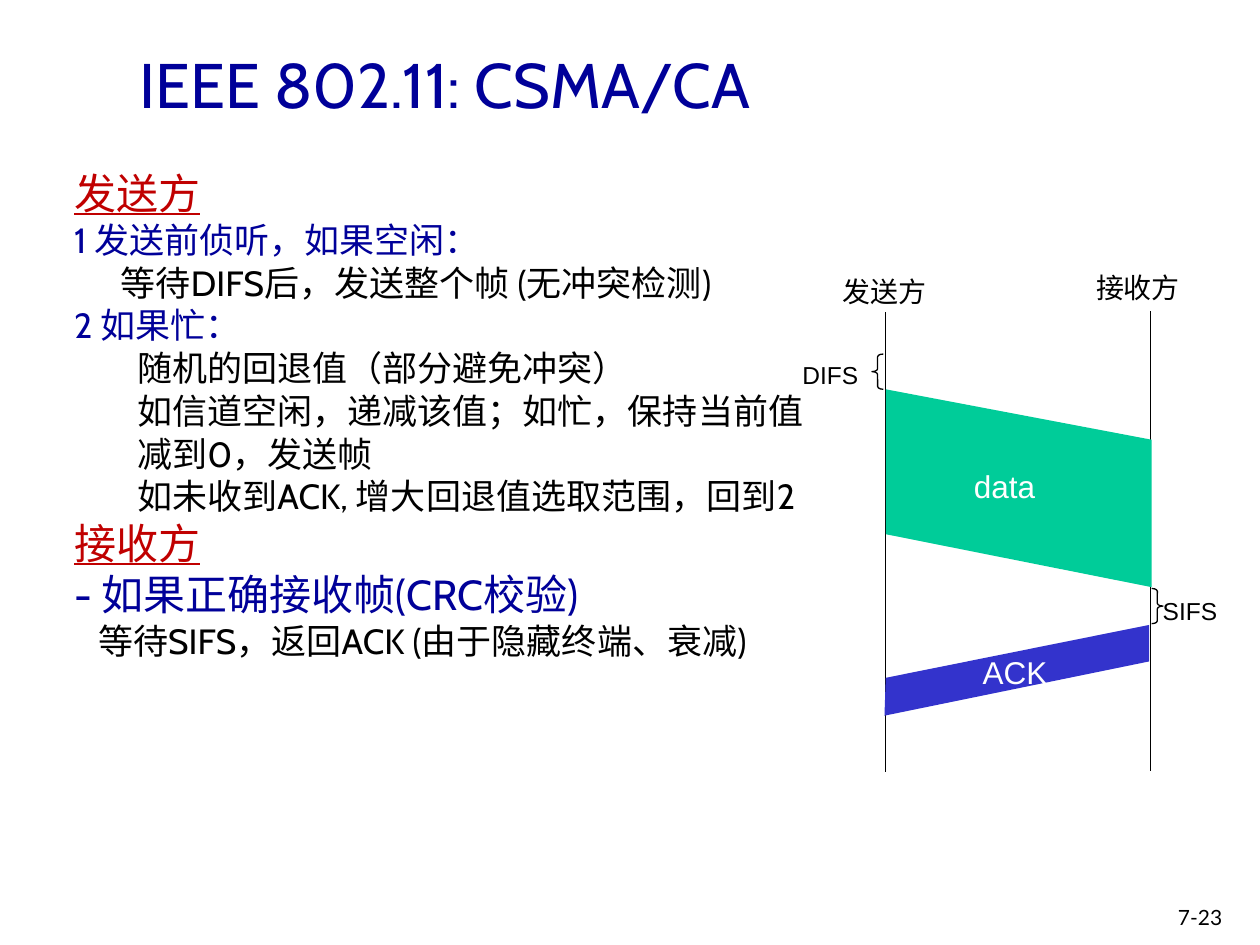
from lxml import etree
from pptx import Presentation
from pptx.dml.color import RGBColor
from pptx.enum import shapes, text
from pptx.oxml.ns import qn
from pptx.util import Inches, Pt


def color(value):
    return RGBColor.from_string(value)


def add_text(box, words, size, face, hue):
    para = box.text_frame.paragraphs[-1]
    if para.runs:
        para = box.text_frame.add_paragraph()
    span = para.add_run()
    span.text = words
    para.font.size = span.font.size = Pt(size)
    para.font.name = span.font.name = face
    para.font.color.rgb = span.font.color.rgb = color(hue)
    east_asian = etree.SubElement(span.font._element, qn("a:ea"))
    east_asian.set("typeface", face)
    return para


deck = Presentation()
deck.slide_width, deck.slide_height = Inches(10), Inches(7.5)
page = deck.slides.add_slide(deck.slide_layouts[6])

BLACK, NAVY, RED, WHITE = "000000", "000099", "C00000", "FFFFFF"

title = page.shapes.add_textbox(Inches(1.01), Inches(0.14), Inches(8.99), Inches(1.04))
title.text_frame.word_wrap = True
title.text_frame.vertical_anchor = text.MSO_ANCHOR.MIDDLE
add_text(title, "IEEE 802.11: CSMA/CA", 36, "Cabin", NAVY)

body = page.shapes.add_textbox(Inches(0.49), Inches(1.34), Inches(6.16), Inches(5.42))
body.text_frame.word_wrap = True
steps = [
    ("发送方", 24, RED, 0),
    ("1 发送前侦听，如果空闲：", 20, NAVY, 0),
    ("等待DIFS后，发送整个帧 (无冲突检测)", 20, BLACK, 0.37),
    ("2 如果忙：", 20, NAVY, 0),
    ("随机的回退值（部分避免冲突）", 20, BLACK, 0.5),
    ("如信道空闲，递减该值；如忙，保持当前值", 20, BLACK, 0.5),
    ("减到0，发送帧", 20, BLACK, 0.5),
    ("如未收到ACK, 增大回退值选取范围，回到2", 20, BLACK, 0.5),
    ("接收方", 24, RED, 0),
    ("- 如果正确接收帧(CRC校验)", 24, NAVY, 0),
    ("等待SIFS，返回ACK (由于隐藏终端、衰减)", 20, BLACK, 0.19),
]
for words, size, hue, indent in steps:
    para = add_text(body, words, size, "Cabin", hue)
    para.line_spacing = 0.85
    para.space_before = Pt(size * 0.2)
    para.runs[0].font.underline = hue == RED
    para._p.get_or_add_pPr().set("marL", str(Inches(indent)))

for x, top in [(7.03, 2.48), (9.13, 2.47)]:
    timeline = page.shapes.add_connector(
        shapes.MSO_CONNECTOR.STRAIGHT, Inches(x), Inches(top), Inches(x), Inches(top + 3.65))
    timeline.line.color.rgb = color(BLACK)
    timeline.line.width = Pt(0.75)
    etree.SubElement(timeline._element.spPr, qn("a:effectLst"))

frames = [
    ("00CC99", [(7.03, 3.09), (9.14, 3.49), (9.14, 4.66), (7.03, 4.24)]),
    ("3333CC", [(7.02, 5.68), (9.12, 5.25), (9.12, 4.96), (7.03, 5.38)]),
]
for hue, corners in frames:
    points = [(Inches(x), Inches(y)) for x, y in corners]
    builder = page.shapes.build_freeform(*points[0])
    builder.add_line_segments(points[1:], close=True)
    frame = builder.convert_to_shape()
    frame.fill.solid()
    frame.fill.fore_color.rgb = color(hue)
    frame.line.fill.background()
    frame.shadow.inherit = False

braces = [
    (shapes.MSO_SHAPE.LEFT_BRACE, 6.92, 2.81),
    (shapes.MSO_SHAPE.RIGHT_BRACE, 9.14, 4.67),
]
for kind, left, top in braces:
    brace = page.shapes.add_shape(kind, Inches(left), Inches(top), Inches(0.09), Inches(0.28))
    brace.adjustments[0] = 0.25
    brace.fill.background()
    brace.line.color.rgb = color(BLACK)
    brace.line.width = Pt(0.75)
    brace.shadow.inherit = False

labels = [
    ("发送方", 6.59, 2.13, 0.88, 0.37, 16, "Noto Sans CJK SC", BLACK),
    ("接收方", 8.6, 2.1, 0.88, 0.37, 16, "Noto Sans CJK SC", BLACK),
    ("DIFS", 6.27, 2.81, 0.65, 0.34, 14, "Arial", BLACK),
    ("data", 7.63, 3.66, 0.69, 0.4, 18, "Arial", WHITE),
    ("SIFS", 9.13, 4.68, 0.64, 0.34, 14, "Arial", BLACK),
    ("ACK", 7.7, 5.13, 0.72, 0.4, 18, "Arial", WHITE),
    ("7-23", 9.25, 7.13, 0.75, 0.3, 12, "Lato", BLACK),
]
for words, left, top, width, height, size, face, hue in labels:
    label = page.shapes.add_textbox(Inches(left), Inches(top), Inches(width), Inches(height))
    label.text_frame.word_wrap = words == "7-23"
    add_text(label, words, size, face, hue)

deck.save("out.pptx")
